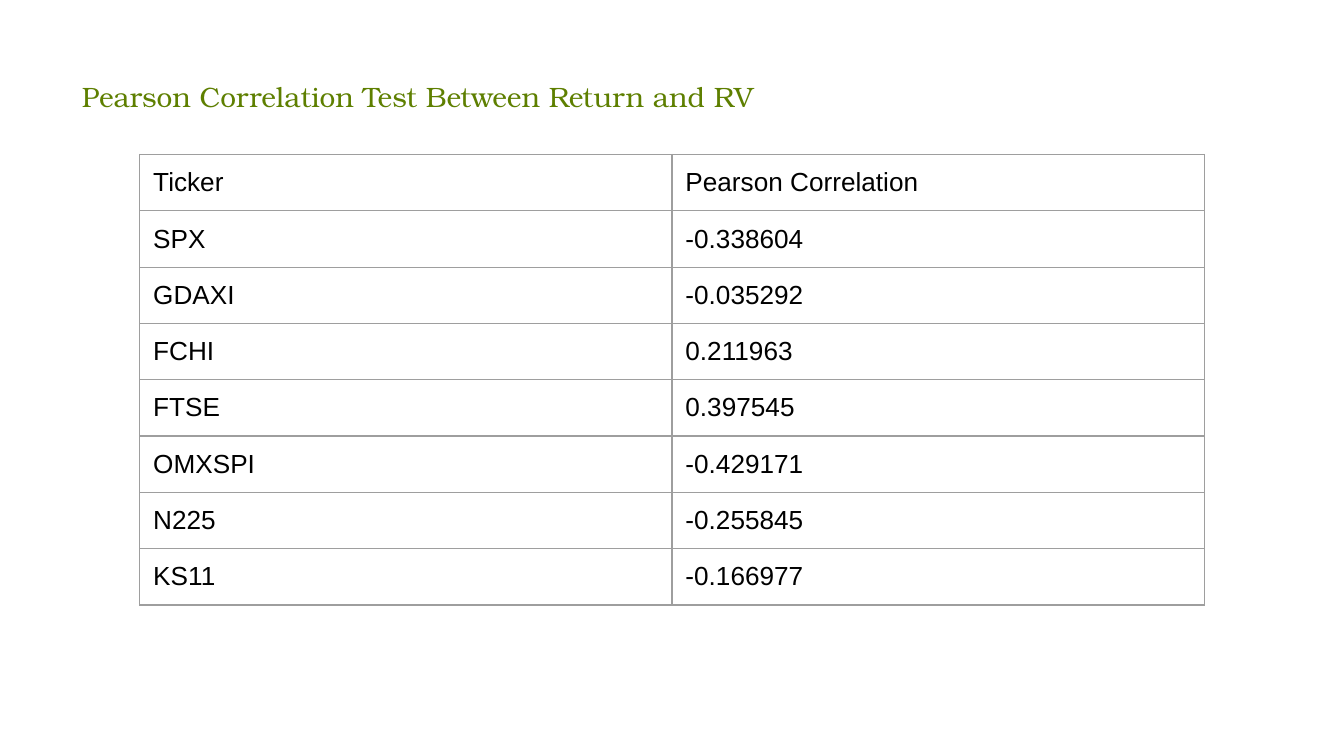
from lxml import etree
from pptx import Presentation
from pptx.dml.color import RGBColor
from pptx.enum.text import MSO_ANCHOR, PP_ALIGN
from pptx.oxml.ns import qn
from pptx.util import Inches, Pt

TOP = MSO_ANCHOR.TOP
LEFT = PP_ALIGN.LEFT
WIDTH = 10
HEIGHT = WIDTH * 9 / 16
COL, ROW = 3.96, 5 / 12
PAD = Inches(0.1)
GREEN, BLACK, GREY = "5E7F00", "000000", "9E9E9E"

ROWS = [
    ("Ticker", "Pearson Correlation"),
    ("SPX", "-0.338604"),
    ("GDAXI", "-0.035292"),
    ("FCHI", "0.211963"),
    ("FTSE", "0.397545"),
    ("OMXSPI", "-0.429171"),
    ("N225", "-0.255845"),
    ("KS11", "-0.166977"),
]


def color(code):
    return RGBColor.from_string(code)


def write(frame, text, size=14, font="Arial", ink=BLACK):
    """Fill a text frame with one formatted, left-aligned line."""
    para = frame.paragraphs[0]
    para.alignment = LEFT
    run = para.add_run()
    run.text = text
    run.font.size = Pt(size)
    run.font.name = font
    run.font.bold = False
    run.font.color.rgb = color(ink)


def pad(box):
    """Give a cell or text frame equal margins and top-anchored text."""
    box.margin_left = box.margin_right = PAD
    box.margin_top = box.margin_bottom = PAD
    box.vertical_anchor = TOP


def border(cell, ink=GREY, width=0.75):
    """Draw a thin line on all four sides of a cell."""
    props = cell._tc.get_or_add_tcPr()
    for side in ("a:lnL", "a:lnR", "a:lnT", "a:lnB"):
        line = etree.SubElement(props, qn(side), w=str(Pt(width)))
        fill = etree.SubElement(line, qn("a:solidFill"))
        etree.SubElement(fill, qn("a:srgbClr"), val=ink)


def add_title(slide, text):
    title = slide.shapes.title
    title.left, title.top = Inches(0.51), Inches(0.49)
    title.width, title.height = Inches(6.13), Inches(0.59)
    frame = title.text_frame
    frame.word_wrap = True
    pad(frame)
    write(frame, text, size=15, font="TeX Gyre Bonum", ink=GREEN)


def add_grid(slide, rows, left, top):
    count = len(rows[0])
    table = slide.shapes.add_table(
        len(rows), count, Inches(left), Inches(top),
        Inches(COL * count), Inches(ROW * len(rows))).table
    table.first_row = table.horz_banding = False
    for col in table.columns:
        col.width = Inches(COL)
    for r, row in enumerate(rows):
        table.rows[r].height = Inches(ROW)
        for c, text in enumerate(row):
            cell = table.cell(r, c)
            pad(cell)
            border(cell)
            cell.fill.background()
            write(cell.text_frame, text)


def main():
    deck = Presentation()
    deck.slide_width, deck.slide_height = Inches(WIDTH), Inches(HEIGHT)
    slide = deck.slides.add_slide(deck.slide_layouts[5])

    # Heading
    add_title(slide, "Pearson Correlation Test Between Return and RV")

    # Correlation table, centred across the slide
    add_grid(slide, ROWS, left=(WIDTH - 2 * COL) / 2, top=1.15)

    deck.save("out.pptx")


if __name__ == "__main__":
    main()
